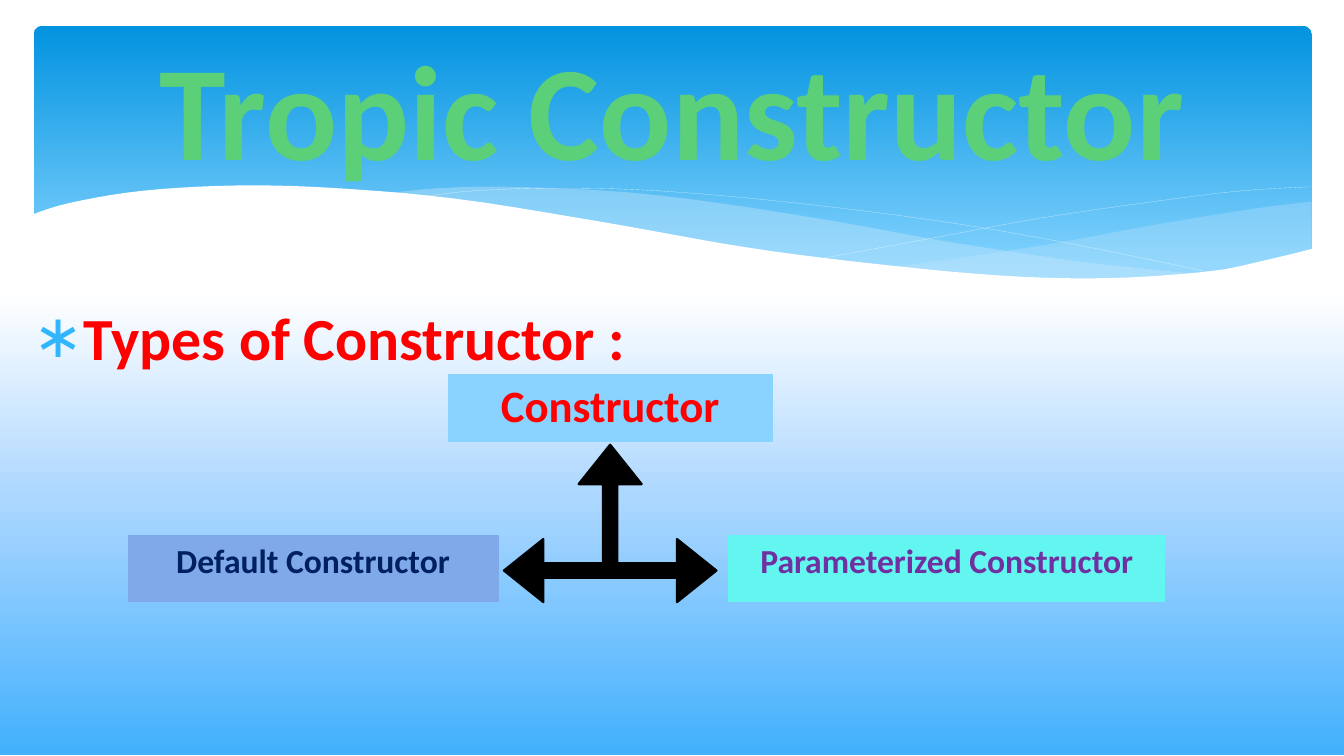
import pptx
import pptx.dml.color
import pptx.enum.shapes
import pptx.enum.text
import pptx.oxml.ns
from lxml import etree
from pptx.util import Inches, Pt

qn = pptx.oxml.ns.qn
SHAPE = pptx.enum.shapes.MSO_SHAPE
ALIGN = pptx.enum.text.PP_ALIGN
ANCHOR = pptx.enum.text.MSO_ANCHOR


def rgb(hex_text):
    return pptx.dml.color.RGBColor.from_string(hex_text)


def smooth(knots, steps=5):
    """Points of a Catmull-Rom curve through the knots."""
    padded = [knots[0], *knots, knots[-1]]
    points = [knots[0]]
    for a, b, c, d in zip(padded, padded[1:], padded[2:], padded[3:]):
        for step in range(1, steps + 1):
            t = step / steps
            points.append(tuple(
                (2 * q + (r - p) * t + (2 * p - 5 * q + 4 * r - s) * t ** 2
                 + (3 * q - p - 3 * r + s) * t ** 3) / 2
                for p, q, r, s in zip(a, b, c, d)))
    return points


class SlideBuilder:
    font = "Calibri"

    def __init__(self, slide):
        self.slide = slide
        self.shapes = slide.shapes

    def style(self, paragraph, size, color, align=None):
        paragraph.alignment = align
        for run in paragraph.runs:
            run.font.name = self.font
            run.font.size = Pt(size)
            run.font.bold = True
            run.font.color.rgb = rgb(color)

    def gradient(self, shape, stops):
        """Vertical gradient, stops from top to bottom."""
        shape.fill.gradient()
        shape.fill.gradient_angle = 270
        stop_list = shape._element.spPr.find(".//" + qn("a:gsLst"))
        for old_stop in list(stop_list):
            stop_list.remove(old_stop)
        for percent, color in stops:
            stop = etree.SubElement(stop_list, qn("a:gs"), pos=str(percent * 1000))
            etree.SubElement(stop, qn("a:srgbClr"), val=color)

    def preset(self, kind, box, adjustments):
        shape = self.shapes.add_shape(kind, *map(Inches, box))
        shape.shadow.inherit = False
        for index, value in enumerate(adjustments):
            shape.adjustments[index] = value
        return shape

    def wave(self, *edges, fill=None, opacity=100):
        """Closed filled area between edges, or a hairline if unfilled."""
        points = [tuple(map(Inches, point)) for edge in edges for point in smooth(edge)]
        builder = self.shapes.build_freeform(*points[0])
        builder.add_line_segments(points[1:], close=fill is not None)
        shape = builder.convert_to_shape()
        shape.shadow.inherit = False
        if fill is None:
            shape.fill.background()
            shape.line.color.rgb = rgb("FFFFFF")
            shape.line.width = Pt(0.05)
            return
        shape.line.fill.background()
        shape.fill.solid()
        shape.fill.fore_color.rgb = rgb(fill)
        if opacity < 100:
            color = shape._element.spPr.find(".//" + qn("a:srgbClr"))
            etree.SubElement(color, qn("a:alpha"), val=str(opacity * 1000))

    def place(self, holder, box, text):
        """Move a placeholder to its box, in front of everything drawn so far."""
        holder.left, holder.top, holder.width, holder.height = map(Inches, box)
        holder._element.getparent().append(holder._element)
        holder.text_frame.text = text
        return holder.text_frame.paragraphs[0]

    def title(self, text, box):
        holder = self.shapes.title
        paragraph = self.place(holder, box, text)
        holder.text_frame.vertical_anchor = ANCHOR.MIDDLE
        self.style(paragraph, 72, "5BD078", ALIGN.CENTER)
        outline = etree.Element(qn("a:ln"), w=str(Pt(1.5)))
        solid = etree.SubElement(outline, qn("a:solidFill"))
        etree.SubElement(solid, qn("a:srgbClr"), val="FEFEFE")
        paragraph.runs[0].font._element.insert(0, outline)

    def body(self, text, box, stops):
        holder = self.slide.placeholders[1]
        paragraph = self.place(holder, box, text)
        self.gradient(holder, stops)
        properties = paragraph._p.get_or_add_pPr()
        properties.set("marL", str(Inches(0.44)))
        properties.set("indent", str(Inches(-0.29)))
        bullet_color = etree.SubElement(properties, qn("a:buClr"))
        etree.SubElement(bullet_color, qn("a:srgbClr"), val="31B6FD")
        etree.SubElement(properties, qn("a:buFont"), typeface=self.font)
        etree.SubElement(properties, qn("a:buChar"), char="∗")
        paragraph.space_before = Pt(0)
        self.style(paragraph, 32, "FF0000")

    def label(self, text, box, size, color, fill):
        """One-cell table without borders."""
        table = self.shapes.add_table(1, 1, *map(Inches, box)).table
        cell = table.cell(0, 0)
        cell.text = text
        self.style(cell.text_frame.paragraphs[0], size, color, ALIGN.CENTER)
        properties = cell._tc.get_or_add_tcPr()
        for side in ("a:lnL", "a:lnR", "a:lnT", "a:lnB"):
            border = etree.SubElement(properties, qn(side))
            etree.SubElement(border, qn("a:noFill"))
        cell.fill.solid()
        cell.fill.fore_color.rgb = rgb(fill)


def main():
    presentation = pptx.Presentation()
    presentation.slide_width = Inches(10)
    presentation.slide_height = presentation.slide_width * 9 // 16
    page = SlideBuilder(presentation.slides.add_slide(presentation.slide_layouts[1]))

    # Blue banner
    banner = page.preset(SHAPE.ROUNDED_RECTANGLE, (0.25, 0.19, 9.51, 2.02), [0.034])
    banner.line.fill.background()
    page.gradient(banner, [(0, "0293E0"), (90, "83D3FE")])

    # Translucent waves
    page.wave(
        [(9.76, 1.5), (9.35, 1.55), (8.61, 1.67), (7.79, 1.82), (7.06, 1.93), (6.61, 1.99)],
        [(6.61, 1.99), (7.19, 2.04), (7.81, 2.08), (8.35, 2.08), (8.89, 2.04),
         (9.35, 1.96), (9.76, 1.85)],
        fill="C6E7FC", opacity=29)
    page.wave(
        [(8.93, 2.04), (8.07, 1.95), (7.06, 1.8), (6.29, 1.66), (5.41, 1.52),
         (4.65, 1.43), (3.8, 1.39), (3.28, 1.4), (2.86, 1.44)],
        [(2.86, 1.44), (3.62, 1.52), (4.49, 1.66), (5.66, 1.86), (6.5, 1.98),
         (7.22, 2.05), (7.96, 2.09), (8.48, 2.08), (8.93, 2.04)],
        fill="C6E7FC", opacity=40)

    # Thin white curves
    page.wave([(3.09, 1.47), (3.53, 1.42), (4.16, 1.4), (4.89, 1.42), (5.82, 1.5),
               (6.95, 1.64), (7.95, 1.81), (9.07, 2.04)])
    page.wave([(6.13, 1.92), (6.95, 1.77), (7.76, 1.62), (8.66, 1.49), (9.24, 1.42),
               (9.75, 1.39)])

    # White wave under the banner
    page.wave(
        [(0.23, 1.6), (0.52, 1.51), (1.06, 1.42), (1.77, 1.38), (2.5, 1.4), (3.4, 1.48),
         (4.47, 1.65), (5.55, 1.84), (6.48, 1.96), (7.44, 2.05), (8.23, 2.07),
         (8.99, 2.02), (9.4, 1.94), (9.77, 1.85)],
        [(9.77, 2.47), (0.23, 2.47)],
        fill="FFFFFF")

    # Title and heading
    page.title("Tropic Constructor", (0.5, 0.28, 9, 1.03))
    page.body("Types of Constructor :", (0, 2.19, 10, 3.43),
              [(0, "FFFFFF"), (44, "ACD7FF"), (100, "42B0FD")])

    # Constructor types
    page.label("Constructor", (3.33, 2.78, 2.42, 0.5), 24, "FF0000", "8AD2FF")
    page.label("Default Constructor", (0.95, 3.98, 2.76, 0.5), 18, "002060", "7FA9E8")
    page.label("Parameterized Constructor", (5.42, 3.98, 3.25, 0.5), 18,
               "7030A0", "63F5F0")

    # Three-way arrow
    arrow = page.preset(SHAPE.LEFT_RIGHT_UP_ARROW, (3.75, 3.31, 1.58, 1.17),
                        [0.091, 0.2, 0.25])
    arrow.fill.solid()
    arrow.fill.fore_color.rgb = rgb("000000")
    arrow.line.color.rgb = rgb("000000")
    arrow.line.width = Pt(1.25)

    presentation.save("out.pptx")


if __name__ == "__main__":
    main()
